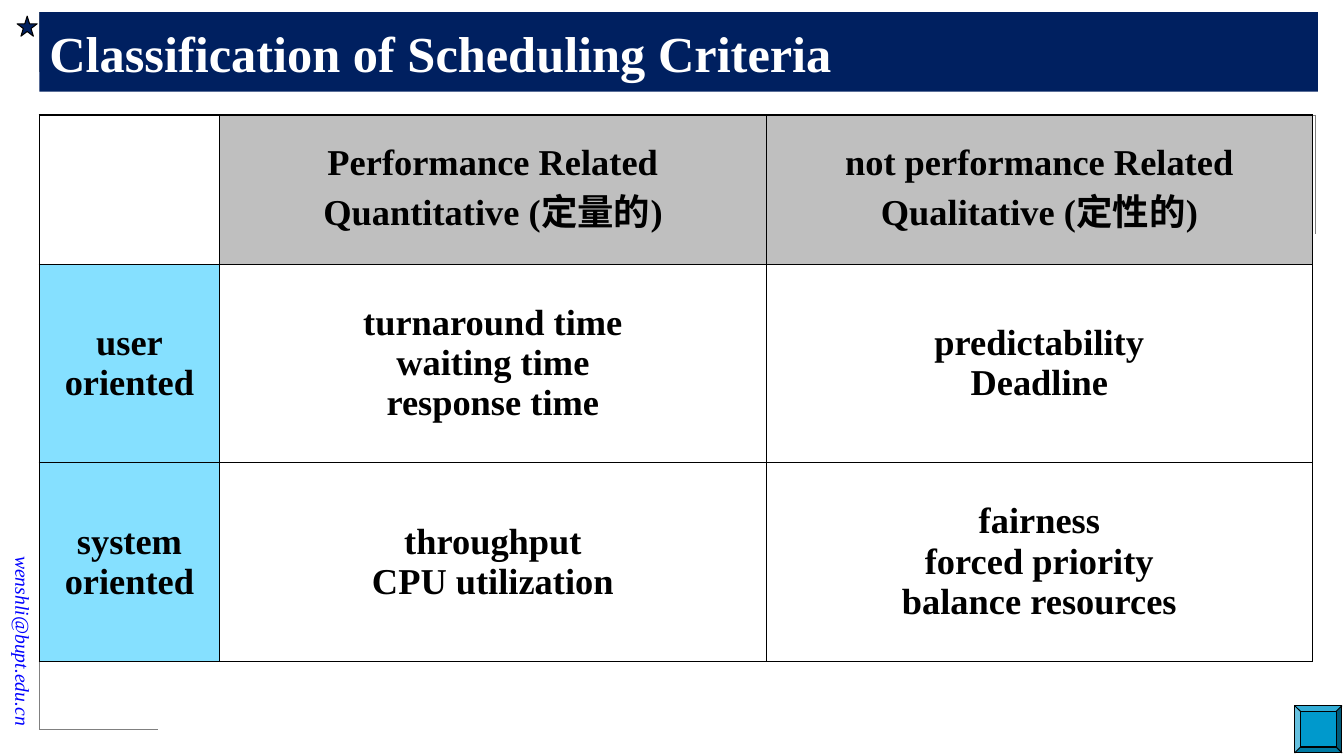
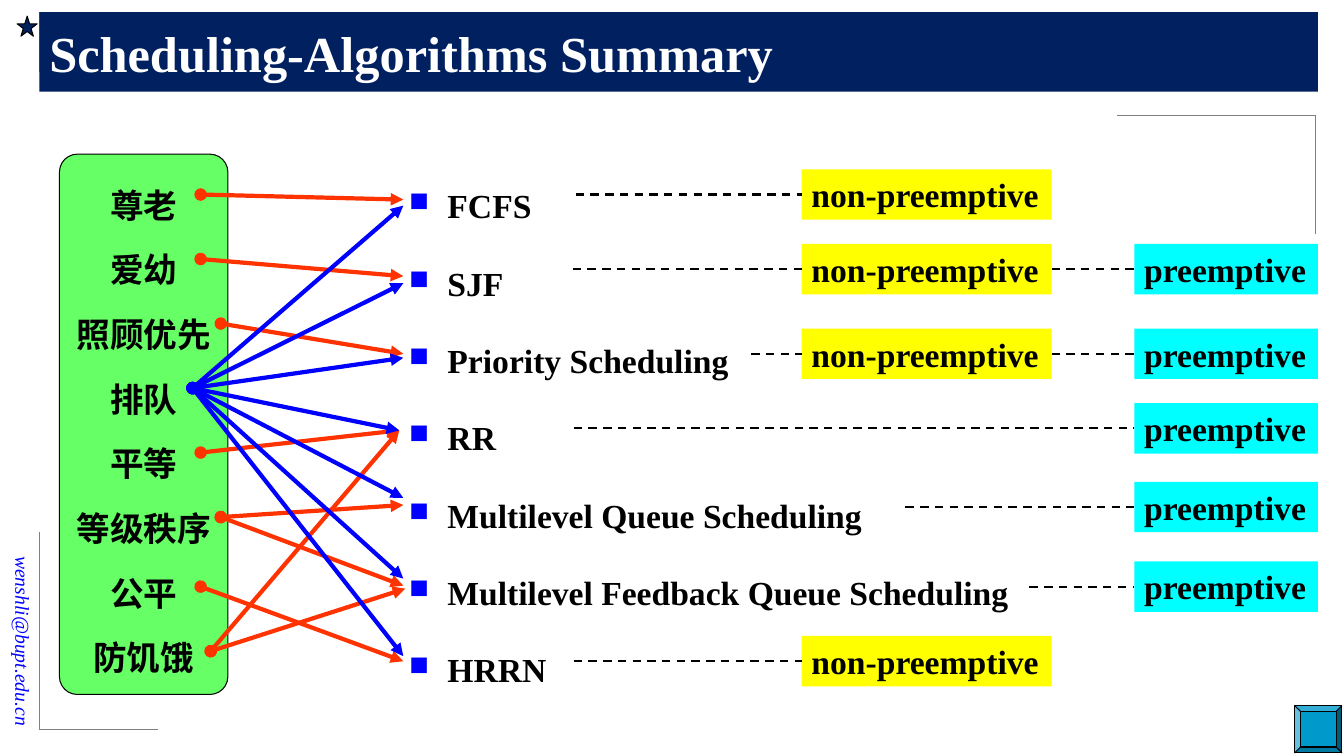
import pptx
import pptx.dml.color
import pptx.enum.dml
import pptx.enum.shapes
import pptx.enum.text
import pptx.oxml
import pptx.oxml.ns
import pptx.util

Inches = pptx.util.Inches
Pt = pptx.util.Pt
Shape = pptx.enum.shapes.MSO_SHAPE
Align = pptx.enum.text.PP_ALIGN
Anchor = pptx.enum.text.MSO_ANCHOR
qn = pptx.oxml.ns.qn


class Theme:
    font = "Times New Roman"
    navy, blue, red = "002060", "0000FF", "FF3300"
    black, white, gray = "000000", "FFFFFF", "808080"
    silver, sky, teal = "BFBFBF", "85E0FF", "0099CC"
    green, yellow, cyan = "66FF66", "FFFF00", "00FFFF"
    title, cell, body, small = 36, 26, 24, 14
    leading = 43.2


def rgb(code):
    return pptx.dml.color.RGBColor.from_string(code)


def put(item, values):
    for name, value in values.items():
        setattr(item, name, value)


def add_xml(parent, tag, body="", index=None, **attrs):
    text = "".join(f' {key}="{value}"' for key, value in attrs.items())
    space = pptx.oxml.ns.nsdecls("a")
    node = pptx.oxml.parse_xml(f"<a:{tag} {space}{text}>{body}</a:{tag}>")
    parent.insert(len(parent) if index is None else index, node)


class Deck:
    def __init__(self):
        self.file = pptx.Presentation()
        put(self.file, {"slide_width": Inches(13.33), "slide_height": Inches(7.5)})
        self.slide = None

    # Shared frame: corner rules, star, title band, address and button
    def page(self, title):
        self.slide = self.file.slides.add_slide(self.file.slide_layouts[6])
        for x, y, dx, dy in [(0.39, 0.12, 1.97, 0.59), (0.39, 7.24, 1.18, -1.96),
                             (13.05, 1.14, -1.97, 1.18)]:
            self.line((x, y), (x, y + dy), Theme.gray, 0.5)
            self.line((x, y), (x + dx, y), Theme.gray, 0.5)
        mail = self.box(-1.09, 5.81, 2.64, 0.34)
        mail.rotation = 90
        self.text(mail, ["wenshli@bupt.edu.cn"], Theme.small, Theme.blue,
                  align=Align.RIGHT, anchor=Anchor.MIDDLE, bold=False, italic=True)
        self.shape(Shape.STAR_5_POINT, 0.17, 0.16, 0.2, 0.2, Theme.navy, Theme.black)
        band = self.shape(Shape.RECTANGLE, 0.39, 0.12, 12.68, 0.79, Theme.navy)
        self.text(band, [title], Theme.title, Theme.white, anchor=Anchor.MIDDLE)
        self.shape(Shape.BEVEL, 12.84, 7, 0.47, 0.47, Theme.teal, Theme.black)

    def box(self, x, y, w, h):
        return self.slide.shapes.add_textbox(Inches(x), Inches(y), Inches(w), Inches(h))

    def shape(self, kind, x, y, w, h, fill, edge=None):
        item = self.slide.shapes.add_shape(kind, Inches(x), Inches(y), Inches(w), Inches(h))
        item.shadow.inherit = False
        item.fill.solid()
        item.fill.fore_color.rgb = rgb(fill)
        if edge:
            item.line.color.rgb = rgb(edge)
            item.line.width = Pt(0.75)
        else:
            item.line.fill.background()
        return item

    def text(self, item, lines, size, color=Theme.black, align=Align.LEFT,
             anchor=Anchor.TOP, wrap=True, **look):
        frame = item.text_frame
        put(frame, {"word_wrap": wrap, "vertical_anchor": anchor})
        self.lines(frame, lines, size, color, align, **look)

    def lines(self, frame, lines, size, color, align, bold=True, italic=False,
              leading=None, before=0, bullet=None):
        for i, line in enumerate(lines):
            para = frame.paragraphs[0] if i == 0 else frame.add_paragraph()
            para.alignment = align
            if leading:
                para.line_spacing = Pt(leading)
            if before and i:
                para.space_before = Pt(before)
            if bullet:
                self.bullet(para, bullet)
            run = para.add_run()
            run.text = line
            put(run.font, {"name": Theme.font, "size": Pt(size),
                           "bold": bold, "italic": italic})
            run.font.color.rgb = rgb(color)

    def bullet(self, para, color):
        props = para._p.get_or_add_pPr()
        props.set("marL", str(Inches(0.38)))
        props.set("indent", str(-Inches(0.38)))
        add_xml(props, "buClr", f'<a:srgbClr val="{color}"/>')
        add_xml(props, "buSzPct", val=80000)
        add_xml(props, "buChar", char="■")

    def line(self, start, end, color, width, dash=False, arrow=False):
        points = [Inches(n) for n in (*start, *end)]
        line = self.slide.shapes.add_connector(
            pptx.enum.shapes.MSO_CONNECTOR.STRAIGHT, *points)
        line.line.color.rgb = rgb(color)
        line.line.width = Pt(width)
        if dash:
            line.line.dash_style = pptx.enum.dml.MSO_LINE.DASH
        props = line._element.spPr
        if arrow:
            stroke = props.find(qn("a:ln"))
            add_xml(stroke, "headEnd", type="oval")
            add_xml(stroke, "tailEnd", type="triangle")
        add_xml(props, "effectLst")
        return line

    def table(self, x, y, cols, rows, cells):
        grid = self.slide.shapes.add_table(
            len(rows), len(cols), Inches(x), Inches(y),
            Inches(sum(cols)), Inches(sum(rows))).table
        put(grid, {"first_row": False, "horz_banding": False})
        for col, width in zip(grid.columns, cols):
            col.width = Inches(width)
        for r, height in enumerate(rows):
            grid.rows[r].height = Inches(height)
            for c, lines in enumerate(cells[r]):
                fill = None
                if lines and r == 0:
                    fill = Theme.silver
                elif lines and c == 0:
                    fill = Theme.sky
                self.cell(grid.cell(r, c), lines, fill)

    def cell(self, cell, lines, fill):
        cell.vertical_anchor = Anchor.MIDDLE
        if fill:
            cell.fill.solid()
            cell.fill.fore_color.rgb = rgb(fill)
        else:
            cell.fill.background()
        self.lines(cell.text_frame, lines, Theme.cell, Theme.black, Align.CENTER)
        paint = f'<a:solidFill><a:srgbClr val="{Theme.black}"/></a:solidFill>'
        for i, side in enumerate("LRTB"):
            add_xml(cell._tc.get_or_add_tcPr(), "ln" + side, paint, i, w=Pt(1))

    # One row of mode tags, joined by dashed lines from the list entry
    def tags(self, start, top, modes):
        last = None
        for mode in modes:
            x, width, fill = MODES[mode]
            tag = self.shape(Shape.RECTANGLE, x, top, width, 0.5, fill)
            self.text(tag, [mode], Theme.body, wrap=False)
            mid = top + 0.25
            line = self.line((start, mid), (x, mid), Theme.black, 1.5, dash=True)
            if last:
                line.begin_connect(last, 3)
            line.end_connect(tag, 1)
            last, start = tag, x + width


CRITERIA = [
    [[], ["Performance Related", "Quantitative (定量的)"],
     ["not performance Related", "Qualitative (定性的)"]],
    [["user", "oriented"], ["turnaround time", "waiting time", "response time"],
     ["predictability", "Deadline"]],
    [["system", "oriented"], ["throughput", "CPU utilization"],
     ["fairness", "forced priority", "balance resources"]],
]

GOALS = ["尊老", "爱幼", "照顾优先", "排队", "平等", "等级秩序", "公平", "防饥饿"]

NON, PRE = "non-preemptive", "preemptive"
MODES = {NON: (7.95, 2.48, Theme.yellow), PRE: (11.25, 1.82, Theme.cyan)}

# Name, start of its dashed line, top of its tags, modes
PLANS = [
    ("FCFS", 5.71, 1.68, [NON]),
    ("SJF", 5.68, 2.42, [NON, PRE]),
    ("Priority Scheduling", 7.45, 3.26, [NON, PRE]),
    ("RR", 5.69, 4, [PRE]),
    ("Multilevel Queue Scheduling", 8.98, 4.78, [PRE]),
    ("Multilevel Feedback Queue Scheduling", 10.21, 5.57, [PRE]),
    ("HRRN", 5.69, 6.31, [NON]),
]

# Start of each fan of arrows, its colour and its ends
FANS = [
    ((1.99, 1.93), Theme.red, [(4, 1.98)]),
    ((1.99, 2.57), Theme.red, [(4, 2.74)]),
    ((2.19, 3.21), Theme.red, [(4, 3.51)]),
    ((2.19, 5.13), Theme.red, [(4, 5.01), (4, 5.81)]),
    ((1.99, 5.82), Theme.red, [(4, 6.56)]),
    ((1.99, 4.49), Theme.red, [(3.96, 4.27)]),
    ((2.09, 6.46), Theme.red, [(3.96, 4.27), (4.02, 5.84)]),
    ((1.91, 3.85), Theme.blue, [(4, 2.04), (4, 2.81), (4, 3.55), (3.96, 4.27),
                                (4, 4.94), (4, 5.74), (4, 6.51)]),
]


def main():
    deck = Deck()

    # Criteria table
    deck.page("Classification of Scheduling Criteria")
    deck.table(0.39, 1.14, [1.79, 5.42, 5.42], [1.48, 1.97, 1.97], CRITERIA)

    # Goals matched to plans
    deck.page("Scheduling-Algorithms Summary")
    panel = deck.shape(Shape.ROUNDED_RECTANGLE, 0.59, 1.53, 1.67, 5.36,
                       Theme.green, Theme.black)
    panel.adjustments[0] = 0.106
    put(panel.text_frame, {"margin_left": Inches(0.05), "margin_right": Inches(0.05)})
    deck.text(panel, GOALS, Theme.body, align=Align.CENTER,
              leading=Theme.leading, before=3)
    names = deck.box(3.96, 1.59, 6.45, 5.36)
    deck.text(names, [plan[0] for plan in PLANS], Theme.body,
              leading=Theme.leading, before=12, bullet=Theme.blue)
    for start, color, ends in FANS:
        for end in ends:
            deck.line(start, end, color, 3, arrow=True)
    for name, start, top, modes in PLANS:
        deck.tags(start, top, modes)

    deck.file.save("out.pptx")


if __name__ == "__main__":
    main()
